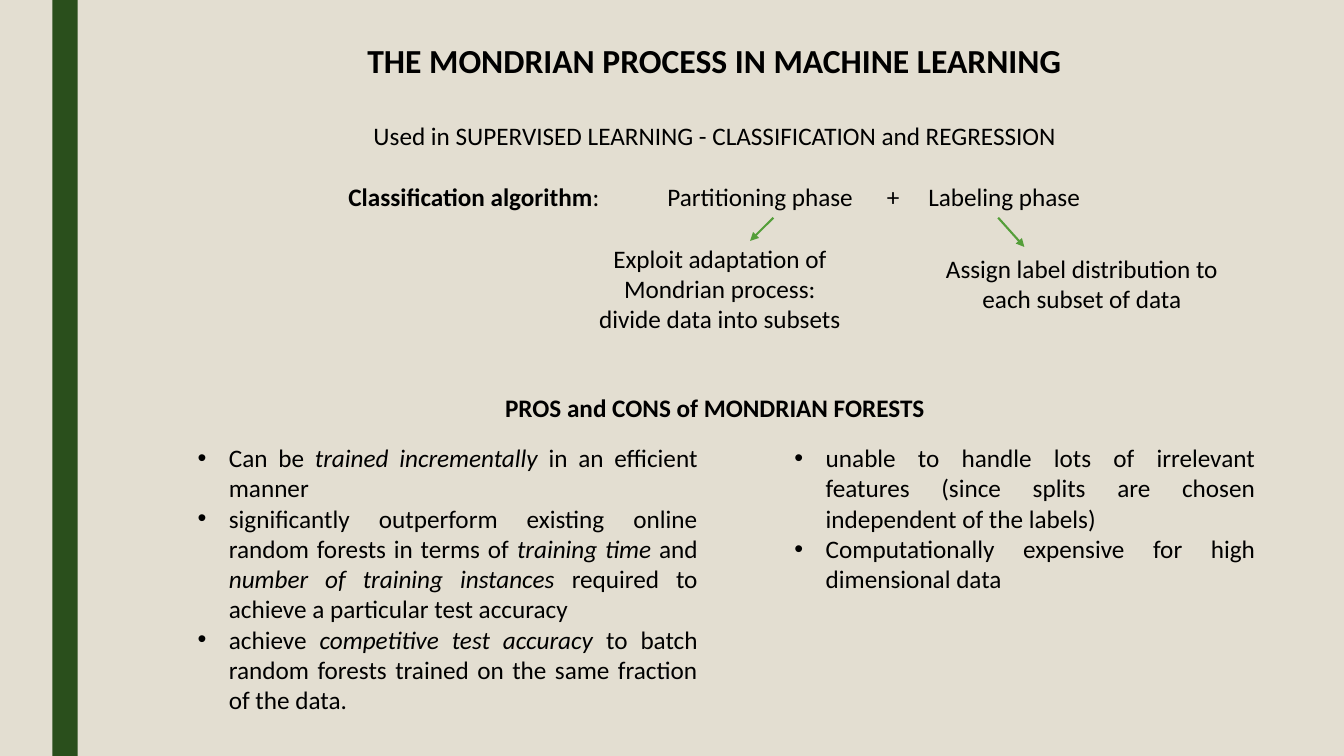
from pptx import Presentation, util as u
from pptx.dml.color import RGBColor
from pptx.enum import shapes, text
from pptx.oxml import parse_xml
from pptx.oxml.ns import nsdecls

prs = Presentation()
prs.slide_width, prs.slide_height = u.Inches(13.33), u.Inches(7.5)
s = prs.slides.add_slide(prs.slide_layouts[3])


def color(fmt, value):
    fmt.rgb = RGBColor.from_string(value)


def write(sp, box, paragraphs, align, anchor, marked="bold", size=18):
    for name, value in zip(("left", "top", "width", "height"), box):
        setattr(sp, name, u.Inches(value))
    tf = sp.text_frame
    frame = {"word_wrap": True, "auto_size": text.MSO_AUTO_SIZE.NONE,
             "vertical_anchor": anchor}
    for name, value in frame.items():
        setattr(tf, name, value)
    for i, content in enumerate(paragraphs):
        p = tf.add_paragraph() if i else tf.paragraphs[0]
        p.alignment, p.space_before = align, u.Pt(0)
        for k, part in enumerate(content.split("*")):
            if part:
                r = p.add_run()
                r.text = part
                font = {"name": "Calibri", "size": u.Pt(size), marked: k % 2 == 1}
                for name, value in font.items():
                    setattr(r.font, name, value)
                color(r.font.color, "000000")
    return tf


s.background.fill.solid()
color(s.background.fill.fore_color, "E3DED1")
bar = s.shapes.add_shape(shapes.MSO_SHAPE.RECTANGLE, u.Inches(0.52), 0,
                         u.Inches(0.25), prs.slide_height)
bar.shadow.inherit = False
bar.fill.solid()
color(bar.fill.fore_color, "2A4F1C")
bar.line.fill.background()

center, middle = text.PP_ALIGN.CENTER, text.MSO_ANCHOR.MIDDLE
write(s.shapes.title, (1.63, 0.33, 10.91, 0.53),
      ["*THE MONDRIAN PROCESS IN MACHINE LEARNING*"], center, middle, size=24)

labels = [
    (7.09, 1.34, 10.91, 0.4, "Used in SUPERVISED LEARNING - CLASSIFICATION and REGRESSION"),
    (4.7, 1.95, 3, 0.4, "*Classification algorithm*:"),
    (7.54, 1.95, 2.2, 0.4, "Partitioning phase"),
    (8.86, 1.95, 0.4, 0.4, "+"),
    (9.96, 1.95, 1.8, 0.4, "Labeling phase"),
    (7.14, 2.86, 2.66, 1.01, "Exploit adaptation of Mondrian process: divide data into subsets"),
    (10.73, 2.81, 2.95, 0.71, "Assign label distribution to each subset of data"),
    (7.09, 4.04, 10.91, 0.4, "*PROS and CONS of MONDRIAN FORESTS*"),
]
for x, y, w, h, content in labels:
    sp = s.shapes.add_textbox(0, 0, 0, 0)
    write(sp, (x - w / 2, y - h / 2, w, h), [content], center, middle)

for ends in [(9.9, 2.16, 10.16, 2.45), (7.67, 2.16, 7.44, 2.39)]:
    arrow = s.shapes.add_connector(shapes.MSO_CONNECTOR.STRAIGHT, *map(u.Inches, ends))
    color(arrow.line.color, "549E39")
    arrow.line.width = u.Pt(1.5)
    arrow.line._get_or_add_ln().append(
        parse_xml(f'<a:tailEnd {nsdecls("a")} type="triangle"/>'))
    arrow._element.spPr.append(parse_xml(f'<a:effectLst {nsdecls("a")}/>'))

pros = [
    "Can be *trained incrementally *in an efficient manner",
    "significantly outperform existing online random forests in terms of "
    "*training time *and *number of training instances *required to achieve "
    "a particular test accuracy",
    "achieve *competitive test accuracy *to batch random forests trained on "
    "the same fraction of the data.",
]
cons = [
    "unable to handle lots of irrelevant features (since splits are chosen "
    "independent of the labels)",
    "Computationally expensive for high dimensional data",
]
for idx, box, items in [(1, (1.86, 4.34, 5.16, 2.83), pros),
                        (2, (7.78, 4.34, 4.77, 1.62), cons)]:
    tf = write(s.placeholders[idx], box, items, text.PP_ALIGN.JUSTIFY,
               text.MSO_ANCHOR.TOP, "italic")
    for p in tf.paragraphs:
        pPr = p._p.get_or_add_pPr()
        pPr.set("marL", str(u.Inches(0.31)))
        pPr.set("indent", str(-u.Inches(0.31)))
        pPr.append(parse_xml(f'<a:buFont {nsdecls("a")} typeface="Arial"/>'))
        pPr.append(parse_xml(f'<a:buChar {nsdecls("a")} char="•"/>'))

prs.save("out.pptx")
